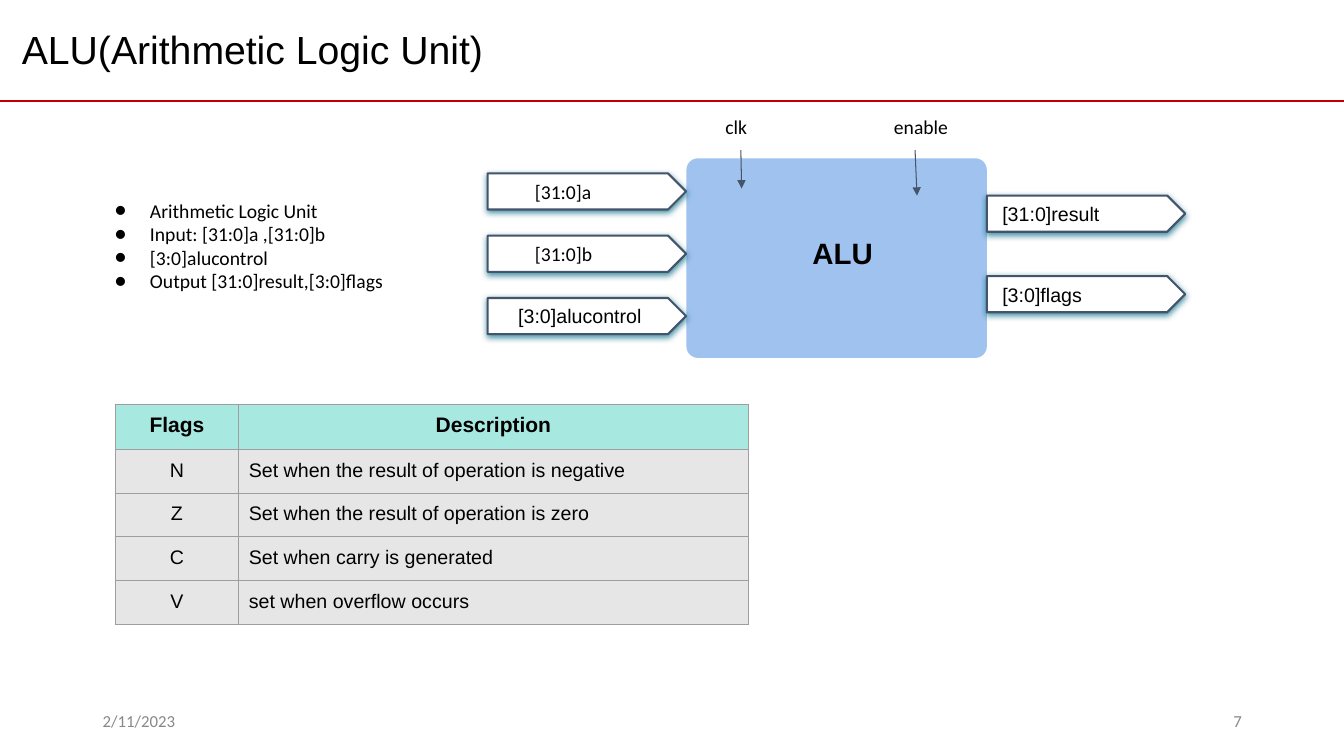
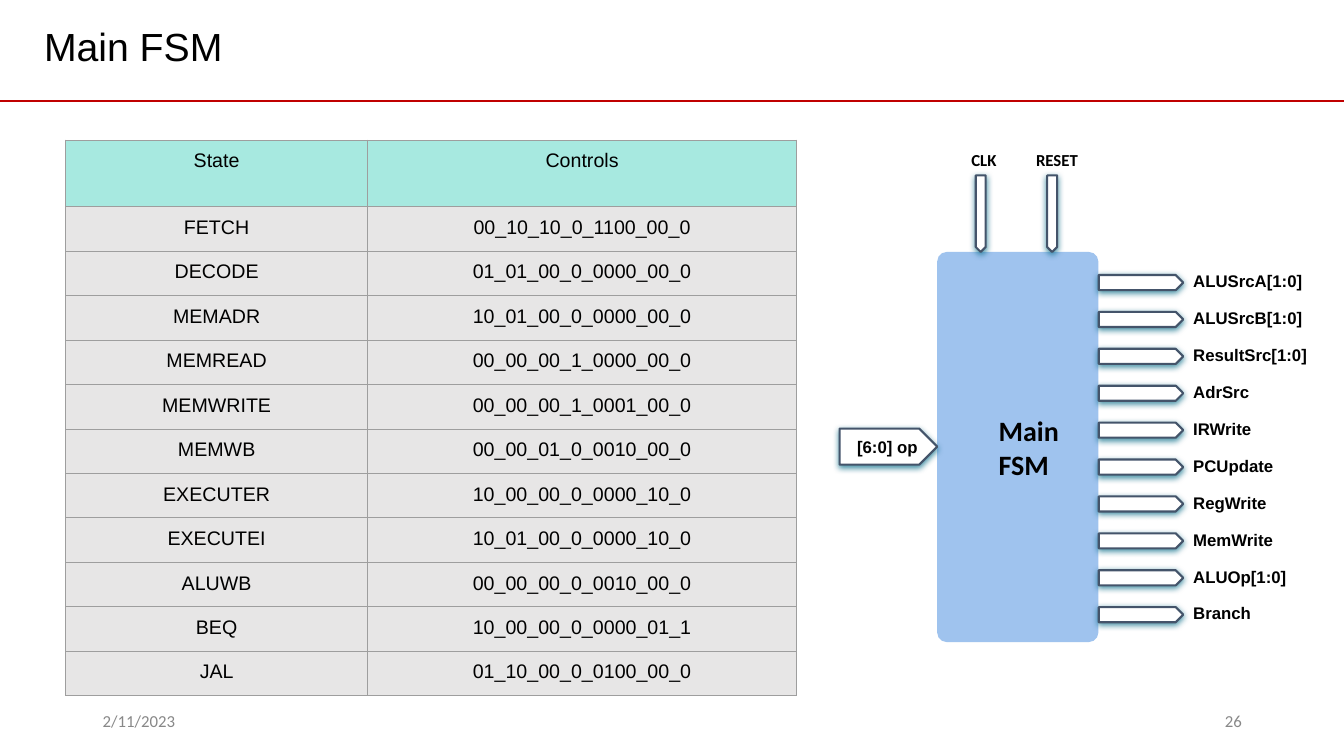
from dataclasses import dataclass

import lxml.etree
import pptx
import pptx.dml.color
import pptx.enum.shapes
import pptx.enum.text
import pptx.oxml.ns
import pptx.util

Cm = pptx.util.Cm
Pt = pptx.util.Pt
SHAPE = pptx.enum.shapes.MSO_SHAPE
ANCHOR = pptx.enum.text.MSO_ANCHOR
ALIGN = pptx.enum.text.PP_ALIGN

SLIDE_WIDTH, SLIDE_HEIGHT = 33.87, 19.05
TITLE_AND_BODY, TITLE_ONLY = 1, 5


@dataclass(frozen=True)
class Theme:
    text: str = "000000"
    muted: str = "888888"
    rule: str = "C00000"
    block: str = "9FC3EE"
    arrow_fill: str = "FFFFFF"
    outline: str = "44546A"
    glow: str = "006985"
    header: str = "A7E9E0"
    cell: str = "E7E6E6"
    grid: str = "9E9E9E"
    sans: str = "Arial"
    humanist: str = "Calibri"
    title_size: int = 28
    block_size: int = 21
    tall_block_size: int = 20
    header_size: int = 15
    body_size: int = 14
    small_size: int = 12
    inset: float = 0.25


def rgb(value):
    return pptx.dml.color.RGBColor.from_string(value)


def add_xml(parent, tag, **attributes):
    """Append a drawing element such as a:ln and return it."""
    return lxml.etree.SubElement(parent, pptx.oxml.ns.qn(tag), attributes)


def add_color(parent, value):
    return add_xml(parent, "a:srgbClr", val=value)


class Deck:
    def __init__(self, theme):
        self.theme = theme
        self.presentation = pptx.Presentation()
        self.presentation.slide_width = Cm(SLIDE_WIDTH)
        self.presentation.slide_height = Cm(SLIDE_HEIGHT)
        self.slide = None

    def start_slide(self, layout, title, number, title_left, title_top):
        theme = self.theme
        layouts = self.presentation.slide_layouts
        self.slide = self.presentation.slides.add_slide(layouts[layout])
        for text, left, align in [("2/11/2023", 2.34, ALIGN.LEFT),
                                  (number, 23.93, ALIGN.RIGHT)]:
            self.label(text, left, 17.65, 7.62, 1.02, size=theme.small_size,
                       color=theme.muted, anchor=ANCHOR.MIDDLE, align=align)
        self.line(0, 2.54, SLIDE_WIDTH, 2.54, theme.rule, 1.5)
        shape = self.slide.shapes.title
        self.place(shape, title_left, title_top, 21.8, 2.1)
        self.set_text(shape.text_frame, title, theme.sans, theme.title_size,
                      insets=(theme.inset, 0.13, theme.inset, 0.13))

    def place(self, shape, left, top, width, height):
        shape.left, shape.top = Cm(left), Cm(top)
        shape.width, shape.height = Cm(width), Cm(height)

    def set_text(self, frame, text, font, size, bold=False, color=None,
                 align=ALIGN.LEFT, anchor=ANCHOR.TOP, insets=None):
        """Fill a text frame; insets run left, top, right, bottom."""
        frame.text = text
        frame.word_wrap = True
        frame.auto_size = pptx.enum.text.MSO_AUTO_SIZE.NONE
        frame.vertical_anchor = anchor
        (frame.margin_left, frame.margin_top, frame.margin_right,
         frame.margin_bottom) = map(Cm, insets or [self.theme.inset] * 4)
        for paragraph in frame.paragraphs:
            self.style_paragraph(paragraph, font, size, bold, color, align)

    def style_paragraph(self, paragraph, font, size, bold, color, align):
        paragraph.alignment = align
        paragraph.space_before = Pt(0)
        paragraph.font.name = font
        paragraph.font.size = Pt(size)
        paragraph.font.bold = bold
        paragraph.font.color.rgb = rgb(color or self.theme.text)

    def label(self, text, left, top, width, height, font=None, size=None, **style):
        box = self.slide.shapes.add_textbox(Cm(left), Cm(top), Cm(width), Cm(height))
        self.set_text(box.text_frame, text, font or self.theme.humanist,
                      size or self.theme.body_size, **style)

    def bullets(self, items, left, top, width, height):
        body = self.slide.placeholders[1]
        self.place(body, left, top, width, height)
        self.set_text(body.text_frame, "\n".join(items), self.theme.humanist,
                      self.theme.body_size)
        for paragraph in body.text_frame.paragraphs:
            properties = paragraph._p.get_or_add_pPr()
            properties.set("marL", str(Cm(1.27)))
            properties.set("indent", str(Cm(-0.89)))
            add_color(add_xml(properties, "a:buClr"), self.theme.text)
            add_xml(properties, "a:buFont", typeface=self.theme.humanist)
            add_xml(properties, "a:buChar", char="●")
            # Default run properties must follow the bullet.
            defaults = properties.find(pptx.oxml.ns.qn("a:defRPr"))
            if defaults is not None:
                properties.append(defaults)

    def line(self, x1, y1, x2, y2, color, width, arrow=False):
        connector = self.slide.shapes.add_connector(
            pptx.enum.shapes.MSO_CONNECTOR.STRAIGHT, Cm(x1), Cm(y1), Cm(x2), Cm(y2))
        connector.line.color.rgb = rgb(color)
        connector.line.width = Pt(width)
        properties = connector._element.spPr
        if arrow:
            outline = properties.find(pptx.oxml.ns.qn("a:ln"))
            add_xml(outline, "a:tailEnd", type="triangle")
        add_xml(properties, "a:effectLst")

    def solid(self, kind, left, top, width, height, fill, adjustment):
        shape = self.slide.shapes.add_shape(
            kind, Cm(left), Cm(top), Cm(width), Cm(height))
        shape.adjustments[0] = adjustment
        shape.fill.solid()
        shape.fill.fore_color.rgb = rgb(fill)
        shape.shadow.inherit = False
        return shape

    def block(self, text, left, top, width, height, font, size, align, insets):
        shape = self.solid(SHAPE.ROUNDED_RECTANGLE, left, top, width, height,
                           self.theme.block, 0.058)
        shape.line.fill.background()
        self.set_text(shape.text_frame, text, font, size, bold=True, align=align,
                      anchor=ANCHOR.MIDDLE, insets=insets)

    def port(self, left, top, width, height, text="", indent=0, font=None,
             size=None, bold=False, rotation=0):
        """Draw a glowing pentagon arrow with an optional label inside."""
        theme = self.theme
        shape = self.solid(SHAPE.PENTAGON, left, top, width, height,
                           theme.arrow_fill, 0.5)
        shape.rotation = rotation
        shape.line.color.rgb = rgb(theme.outline)
        shape.line.width = Pt(1.5)
        effects = shape._element.spPr.find(pptx.oxml.ns.qn("a:effectLst"))
        shadow = add_xml(effects, "a:outerShdw", blurRad=str(Pt(4.5)),
                         dist=str(Pt(1.5)), dir="5400000", rotWithShape="0")
        add_xml(add_color(shadow, theme.glow), "a:alpha", val="72000")
        if text:
            self.set_text(shape.text_frame, text, font or theme.sans,
                          size or theme.body_size, bold, anchor=ANCHOR.MIDDLE,
                          insets=(indent, 0, 0, 0))

    def table(self, rows, left, top, widths, header_height, row_height,
              header_size, header_bold, last_align):
        theme = self.theme
        heights = [header_height] + [row_height] * (len(rows) - 1)
        table = self.slide.shapes.add_table(
            len(rows), len(widths), Cm(left), Cm(top),
            Cm(sum(widths)), Cm(sum(heights))).table
        table.first_row = table.horz_banding = False
        for column, width in zip(table.columns, widths):
            column.width = Cm(width)
        for row, height in zip(table.rows, heights):
            row.height = Cm(height)
        for row_index, values in enumerate(rows):
            is_header = row_index == 0
            for column_index, text in enumerate(values):
                centred = is_header or column_index == 0
                self.cell(table.cell(row_index, column_index), text,
                          theme.header if is_header else theme.cell,
                          header_size if is_header else theme.body_size,
                          is_header and header_bold,
                          ALIGN.CENTER if centred else last_align)

    def cell(self, cell, text, fill, size, bold, align):
        cell.text = text
        cell.margin_left = cell.margin_right = Cm(self.theme.inset)
        cell.margin_top = cell.margin_bottom = Cm(self.theme.inset)
        self.style_paragraph(cell.text_frame.paragraphs[0], self.theme.sans, size,
                             bold, None, align)
        properties = cell._tc.get_or_add_tcPr()
        for side in "LRTB":
            border = add_xml(properties, f"a:ln{side}", w=str(Pt(0.75)))
            add_color(add_xml(border, "a:solidFill"), self.theme.grid)
        cell.fill.solid()
        cell.fill.fore_color.rgb = rgb(fill)


def build_alu(deck):
    theme = deck.theme
    deck.start_slide(TITLE_AND_BODY, "ALU(Arithmetic Logic Unit)", "7", 0.3, 0.51)
    deck.bullets(["Arithmetic Logic Unit", "Input: [31:0]a ,[31:0]b",
                  "[3:0]alucontrol", "Output [31:0]result,[3:0]flags"],
                 2.26, 4.75, 8.48, 2.9)
    deck.block("ALU", 17.3, 3.99, 7.57, 5.03, theme.sans, theme.block_size,
               ALIGN.CENTER, (0.3, 0, 0, 0.25))
    inputs = [("[31:0]a", 1.19, theme.humanist), ("[31:0]b", 1.19, theme.humanist),
              ("[3:0]alucontrol", 0.77, theme.sans)]
    for index, (text, indent, font) in enumerate(inputs):
        deck.port(12.29, 4.37 + 1.57 * index, 5, 0.91, text, indent, font)
    for index, text in enumerate(["[31:0]result", "[3:0]flags"]):
        deck.port(24.87, 4.93 + 2.03 * index, 5, 0.91, text, 0.39)
    for text, left, x1, x2, y2 in [("clk", 18.03, 18.67, 18.69, 4.75),
                                   ("enable", 22.28, 23.06, 23.11, 4.93)]:
        deck.label(text, left, 2.64, 2.2, 1.12)
        deck.line(x1, 3.78, x2, y2, theme.outline, 0.75, arrow=True)
    flags = [("Flags", "Description"),
             ("N", "Set when the result of operation is negative"),
             ("Z", "Set when the result of operation is zero"),
             ("C", "Set when carry is generated"),
             ("V", "set when overflow occurs")]
    deck.table(flags, 2.9, 10.18, [3.12, 12.83], 1.15, 1.1,
               theme.header_size, True, ALIGN.LEFT)


def build_main_fsm(deck):
    theme = deck.theme
    deck.start_slide(TITLE_ONLY, "Main FSM", "26", 0.86, 0.43)
    deck.block("Main\nFSM", 23.62, 6.35, 4.06, 9.83, theme.humanist,
               theme.tall_block_size, ALIGN.LEFT, (1.48, 0, 0, 0))
    deck.port(21.16, 10.8, 2.46, 0.91, "[6:0] op", 0.44, size=theme.small_size,
              bold=True)
    for text, label_left, port_left in [("CLK", 24.23, 23.75),
                                        ("RESET", 25.86, 25.55)]:
        deck.label(text, label_left, 3.53, 1.83, 1.02, size=theme.small_size, bold=True)
        deck.port(port_left, 5.26, 1.93, 0.25, rotation=90)
    outputs = ["ALUSrcA[1:0]", "ALUSrcB[1:0]", "ResultSrc[1:0]", "AdrSrc", "IRWrite",
               "PCUpdate", "RegWrite", "MemWrite", "ALUOp[1:0]", "Branch"]
    for index, text in enumerate(outputs):
        offset = 0.93 * index
        deck.port(27.69, 6.93 + offset, 2.13, 0.38)
        deck.label(text, 29.82, 6.58 + offset, 4.05, 1.02, theme.sans,
                   theme.small_size, bold=True)
    states = [("State", "Controls"),
              ("FETCH", "00_10_10_0_1100_00_0"),
              ("DECODE", "01_01_00_0_0000_00_0"),
              ("MEMADR", "10_01_00_0_0000_00_0"),
              ("MEMREAD", "00_00_00_1_0000_00_0"),
              ("MEMWRITE", "00_00_00_1_0001_00_0"),
              ("MEMWB", "00_00_01_0_0010_00_0"),
              ("EXECUTER", "10_00_00_0_0000_10_0"),
              ("EXECUTEI", "10_01_00_0_0000_10_0"),
              ("ALUWB", "00_00_00_0_0010_00_0"),
              ("BEQ", "10_00_00_0_0000_01_1"),
              ("JAL", "01_10_00_0_0100_00_0")]
    deck.table(states, 1.65, 3.53, [7.62, 10.8], 1.68, 1.12,
               theme.body_size, False, ALIGN.CENTER)


def main():
    deck = Deck(Theme())
    build_alu(deck)
    build_main_fsm(deck)
    deck.presentation.save("out.pptx")


if __name__ == "__main__":
    main()
